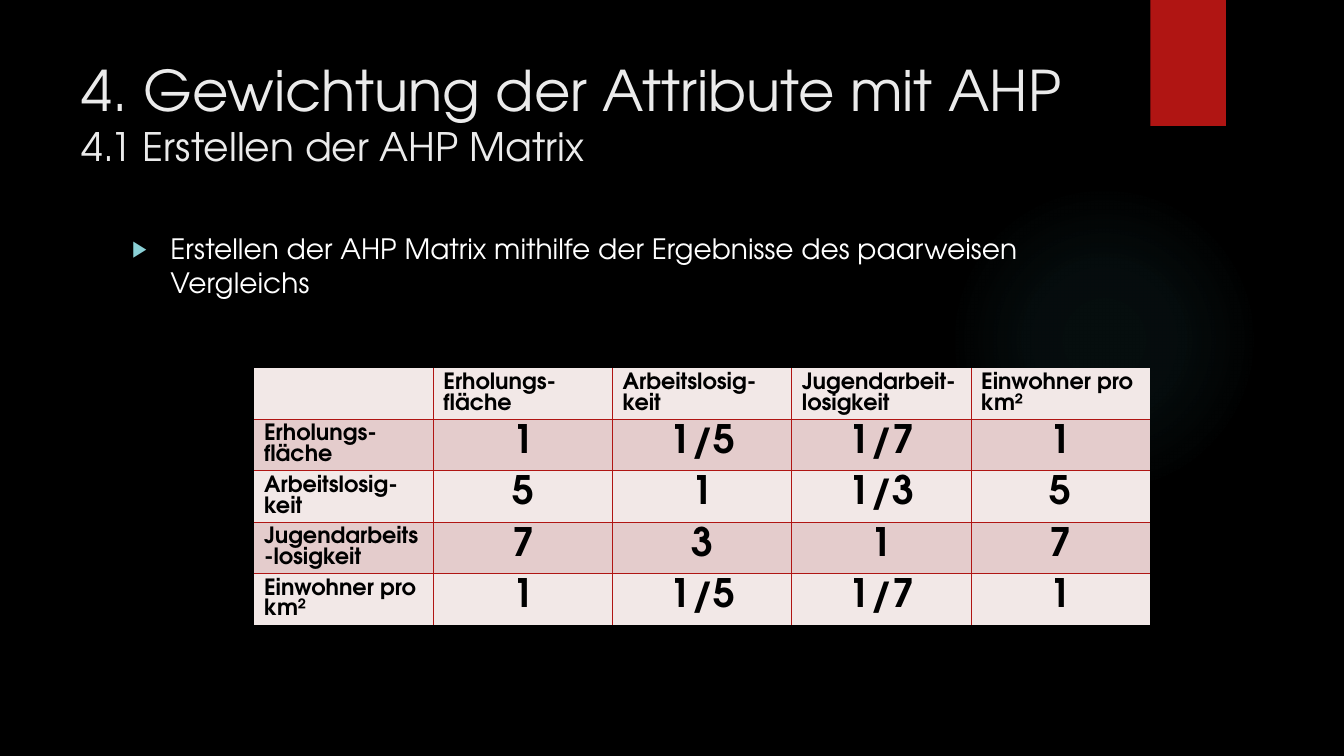
"""Build the slide on weighting attributes with an AHP matrix."""
from lxml import etree
from pptx import Presentation
from pptx import util as u
from pptx.dml.color import RGBColor
from pptx.enum import shapes, text
from pptx.oxml import parse_xml
from pptx.oxml.ns import qn

HUE = {"back": "000000", "glow": "50B9C1", "red": "B01513", "title": "EBEBEB",
       "body": "FFFFFF", "mark": "8AD0D6", "ink": "000000",
       "odd": "E4CCCC", "even": "F2E8E7"}
FACE = "TeX Gyre Adventor"
NS = 'xmlns:a="http://schemas.openxmlformats.org/drawingml/2006/main"'


def style(run, hue, **form):
    """Apply font values to a run."""
    run.font.color.rgb = RGBColor.from_string(HUE[hue])
    for key, val in {"name": FACE, **form}.items():
        setattr(run.font, key, val)


def place(item, *box):
    """Set left, top, width and height in inches."""
    for key, val in zip(("left", "top", "width", "height"), box):
        setattr(item, key, u.Inches(val))


deck = Presentation()
deck.slide_width, deck.slide_height = u.Inches(13.33), u.Inches(7.5)
slide = deck.slides.add_slide(deck.slide_layouts[1])
slide.background.fill.solid()
slide.background.fill.fore_color.rgb = RGBColor.from_string(HUE["back"])

kind = shapes.MSO_SHAPE
glow = slide.shapes.add_shape(kind.OVAL, 0, 0, 0, 0)
place(glow, 9.41, 1.83, 3.08, 3.08)
flag = slide.shapes.add_shape(kind.RECTANGLE, 0, 0, 0, 0)
place(flag, 11.41, 0, 0.75, 1.25)
flag.fill.solid()
flag.fill.fore_color.rgb = RGBColor.from_string(HUE["red"])
for rank, item in enumerate((glow, flag)):
    item.shadow.inherit = False
    item.line.fill.background()
    slide.shapes._spTree.insert(2 + rank, item._element)
stops = "".join(
    f'<a:gs pos="{pos}000"><a:srgbClr val="{HUE["glow"]}">'
    f'<a:alpha val="{alpha}000"/></a:srgbClr></a:gs>'
    for pos, alpha in ((0, 7), (36, 6), (69, 0), (100, 0)))
glow._element.spPr.find(qn("a:prstGeom")).addnext(parse_xml(
    f'<a:gradFill {NS} rotWithShape="1"><a:gsLst>{stops}</a:gsLst>'
    '<a:path path="circle"><a:fillToRect l="50000" t="50000" r="50000" b="50000"/>'
    '</a:path></a:gradFill>'))

title, body = slide.placeholders
place(title, 0.71, 0.5, 10.29, 1.53)
place(body, 1.21, 2.25, 9.78, 4.59)
for item in (title, body):
    frame = item.text_frame
    for key, val in {"word_wrap": True, "auto_size": text.MSO_AUTO_SIZE.NONE,
                     "vertical_anchor": text.MSO_ANCHOR.TOP}.items():
        setattr(frame, key, val)
    frame.paragraphs[0].alignment = text.PP_ALIGN.LEFT

head = title.text_frame.paragraphs[0]
run = head.add_run()
run.text = "4. Gewichtung der Attribute mit AHP"
style(run, "title", size=u.Pt(40))
head.add_line_break()
run = head.add_run()
run.text = "4.1 Erstellen der AHP Matrix"
style(run, "title", size=u.Pt(28))

point = body.text_frame.paragraphs[0]
point.space_before = u.Pt(10)
run = point.add_run()
run.text = "Erstellen der AHP Matrix mithilfe der Ergebnisse des paarweisen Vergleichs"
style(run, "body", size=u.Pt(20))
props = point._p.get_or_add_pPr()
props.set("marL", str(u.Inches(0.38)))
props.set("indent", str(-u.Inches(0.38)))
for mark in (f'<a:buClr {NS}><a:srgbClr val="{HUE["mark"]}"/></a:buClr>',
             f'<a:buSzPct {NS} val="80000"/>',
             f'<a:buFont {NS} typeface="Arial"/>',
             f'<a:buChar {NS} char="▶"/>'):
    props.append(parse_xml(mark))

rows = [
    ["", "Erholungs-fläche", "Arbeitslosig-keit", "Jugendarbeit-losigkeit", "Einwohner pro km²"],
    ["Erholungs-fläche", "1", "1/5", "1/7", "1"],
    ["Arbeitslosig-keit", "5", "1", "1/3", "5"],
    ["Jugendarbeits-losigkeit", "7", "3", "1", "7"],
    ["Einwohner pro km²", "1", "1/5", "1/7", "1"],
]
size = len(rows)
wide, high = u.Inches(8.89), u.Inches(0.51 * size)
grid = slide.shapes.add_table(size, size, u.Inches(2.52), u.Inches(3.65), wide, high).table
for r, row in enumerate(rows):
    for c, word in enumerate(row):
        cell = grid.cell(r, c)
        edge = cell._tc.get_or_add_tcPr()
        inner = {"L": c > 0, "R": c < size - 1, "T": r > 0, "B": r < size - 1}
        for side, shown in inner.items():
            line = etree.SubElement(edge, qn(f"a:ln{side}"), w=str(u.Pt(1)))
            if shown:
                fill = etree.SubElement(line, qn("a:solidFill"))
                etree.SubElement(fill, qn("a:srgbClr"), val=HUE["red"])
            else:
                etree.SubElement(line, qn("a:noFill"))
        cell.fill.solid()
        cell.fill.fore_color.rgb = RGBColor.from_string(HUE["odd" if r % 2 else "even"])
        para = cell.text_frame.paragraphs[0]
        value = r > 0 and c > 0
        para.alignment = text.PP_ALIGN.CENTER if value else text.PP_ALIGN.LEFT
        if word:
            run = para.add_run()
            run.text = word
            style(run, "ink", size=u.Pt(28 if value else 16), bold=True)

deck.save("out.pptx")
